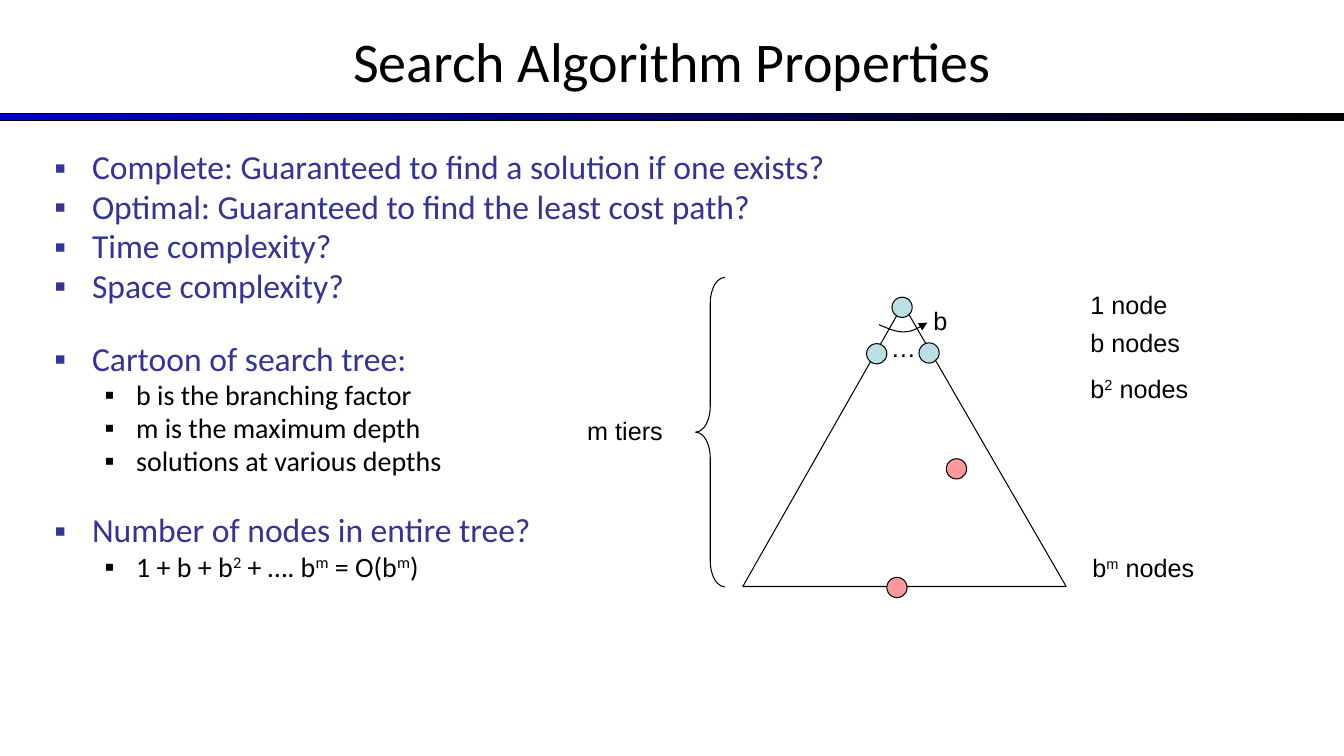
from dataclasses import dataclass

from lxml import etree
from pptx import Presentation
from pptx.dml.color import RGBColor
from pptx.enum.shapes import MSO_SHAPE
from pptx.enum.text import MSO_ANCHOR, PP_ALIGN
from pptx.oxml.ns import qn
from pptx.util import Cm, Pt

RECT, OVAL, BRACE = MSO_SHAPE.RECTANGLE, MSO_SHAPE.OVAL, MSO_SHAPE.LEFT_BRACE
MIDDLE, CENTER = MSO_ANCHOR.MIDDLE, PP_ALIGN.CENTER
COLORS = {
    "black": "000000",
    "bar": "0000CC",
    "heading": "333399",
    "node": "BBE0E3",
    "solution": "FF9999",
}
NODE_SIZE = 0.51
LABEL_HEIGHT = 1.02
BLANK_LINE = 23.8


@dataclass
class Bullet:
    text: str  # ^ encloses superscripts
    level: int = 0
    before: float = 0


@dataclass
class Level:
    size: int
    color: str
    margin: float
    hanging: float


@dataclass
class Node:
    x: float
    y: float
    color: str


@dataclass
class Label:
    text: str
    x: float
    y: float
    width: float


LEVELS = [Level(24, "heading", 0.95, 0.95), Level(20, "black", 2.06, 0.79)]
BULLETS = [
    Bullet("Complete: Guaranteed to find a solution if one exists?"),
    Bullet("Optimal: Guaranteed to find the least cost path?"),
    Bullet("Time complexity?"),
    Bullet("Space complexity?"),
    Bullet("Cartoon of search tree:", before=BLANK_LINE),
    Bullet("b is the branching factor", 1),
    Bullet("m is the maximum depth", 1),
    Bullet("solutions at various depths", 1),
    Bullet("Number of nodes in entire tree?", before=BLANK_LINE),
    Bullet("1 + b + b^2^ + …. b^m^ = O(b^m^)", 1),
]
NODES = [
    Node(22.48, 7.49, "node"),
    Node(21.84, 8.66, "node"),
    Node(23.16, 8.64, "node"),
    Node(22.35, 14.55, "solution"),
    Node(23.85, 11.56, "solution"),
]
LABELS = [
    Label("…", 22.2, 8.26, 0.76),
    Label("b", 23.27, 7.57, 0.84),
    Label("1 node", 27.23, 7.16, 3.1),
    Label("b nodes", 27.23, 8.13, 3.1),
    Label("b^2^ nodes", 27.23, 9.27, 3.1),
    Label("b^m^ nodes", 27.28, 13.79, 4.06),
    Label("m tiers", 14.55, 10.34, 3.5),
]
TRIANGLE = [(18.72, 14.78), (26.87, 14.78), (22.76, 7.67)]
ARC = [
    [(22.15, 8.18), (22.38, 8.28), (22.61, 8.38), (22.81, 8.36)],
    [(22.81, 8.36), (23.01, 8.36), (23.19, 8.23), (23.37, 8.13)],
]


def rgb(name: str) -> RGBColor:
    return RGBColor.from_string(COLORS[name])


def add_runs(p, text: str, size: int, font: str, color: str) -> None:
    for i, part in enumerate(text.split("^")):
        r = p.add_run()
        r.text = part
        r.font.size, r.font.name = Pt(size), font
        r.font.color.rgb = rgb(color)
        if i % 2:
            r.font._element.set("baseline", "30000")


def add_box(s, x: float, y: float, width: float, height: float):
    tf = s.shapes.add_textbox(Cm(x), Cm(y), Cm(width), Cm(height)).text_frame
    tf.word_wrap = True
    return tf


def outline(sp, fill: str = ""):
    sp.shadow.inherit = False
    sp.line.color.rgb, sp.line.width = rgb("black"), Pt(0.75)
    if fill:
        sp.fill.solid()
        sp.fill.fore_color.rgb = rgb(fill)
    else:
        sp.fill.background()
    return sp


def add_outlined(s, kind, x: float, y: float, width: float, height: float, fill: str = ""):
    return outline(s.shapes.add_shape(kind, Cm(x), Cm(y), Cm(width), Cm(height)), fill)


def add_path(s, points: list, close: bool):
    (x, y), *rest = [(Cm(px), Cm(py)) for px, py in points]
    builder = s.shapes.build_freeform(x, y)
    builder.add_line_segments(rest, close=close)
    return outline(builder.convert_to_shape())


def bezier(curve: list, steps: int = 12) -> list:
    points = []
    for i in range(steps + 1):
        t = i / steps
        weights = [(1 - t) ** 3, 3 * t * (1 - t) ** 2, 3 * t**2 * (1 - t), t**3]
        points.append(tuple(sum(w * c[k] for w, c in zip(weights, curve)) for k in (0, 1)))
    return points


def add_bullet(p, bullet: Bullet) -> None:
    level = LEVELS[bullet.level]
    p.level = bullet.level
    pPr = p._p.get_or_add_pPr()
    pPr.set("marL", str(Cm(level.margin)))
    pPr.set("indent", str(-Cm(level.hanging)))
    clr = etree.SubElement(pPr, qn("a:buClr"))
    etree.SubElement(clr, qn("a:srgbClr"), val=COLORS[level.color])
    etree.SubElement(pPr, qn("a:buFont"), typeface="Arial")
    etree.SubElement(pPr, qn("a:buChar"), char="▪")
    p.line_spacing, p.space_before = 0.98, Pt(bullet.before)
    add_runs(p, bullet.text, level.size, "Calibri", level.color)


def main() -> None:
    prs = Presentation()
    prs.slide_width, prs.slide_height = Cm(33.87), Cm(19.05)
    s = prs.slides.add_slide(prs.slide_layouts[5])

    # Title and gradient bar
    title = s.shapes.title
    title.left, title.top, title.width, title.height = Cm(0), Cm(-0.08), Cm(33.87), Cm(3.18)
    tf = title.text_frame
    tf.vertical_anchor = MIDDLE
    tf.paragraphs[0].alignment = CENTER
    add_runs(tf.paragraphs[0], "Search Algorithm Properties", 40, "Calibri", "black")
    bar = add_outlined(s, RECT, 0, 2.87, 33.87, 0.18)
    bar.fill.gradient()
    bar.fill.gradient_angle = 0
    for stop, color in zip(bar.fill.gradient_stops, ("bar", "black")):
        stop.color.rgb = rgb(color)

    # Bullet list
    tf = add_box(s, 1.12, 3.61, 31.6, 13.13)
    for i, bullet in enumerate(BULLETS):
        add_bullet(tf.add_paragraph() if i else tf.paragraphs[0], bullet)

    # Search tree with branching arrow and depth brace
    add_path(s, TRIANGLE, close=True)
    for node in NODES:
        add_outlined(s, OVAL, node.x, node.y, NODE_SIZE, NODE_SIZE, node.color)
    arrow = add_path(s, bezier(ARC[0]) + bezier(ARC[1])[1:], close=False)
    etree.SubElement(arrow.line._get_or_add_ln(), qn("a:tailEnd"), type="triangle")
    brace = add_outlined(s, BRACE, 17.53, 6.99, 0.74, 7.8)
    brace.adjustments[0], brace.adjustments[1] = 0.884, 0.5

    # Tree labels
    for label in LABELS:
        tf = add_box(s, label.x, label.y, label.width, LABEL_HEIGHT)
        add_runs(tf.paragraphs[0], label.text, 18, "Arial", "black")

    prs.save("out.pptx")


if __name__ == "__main__":
    main()
